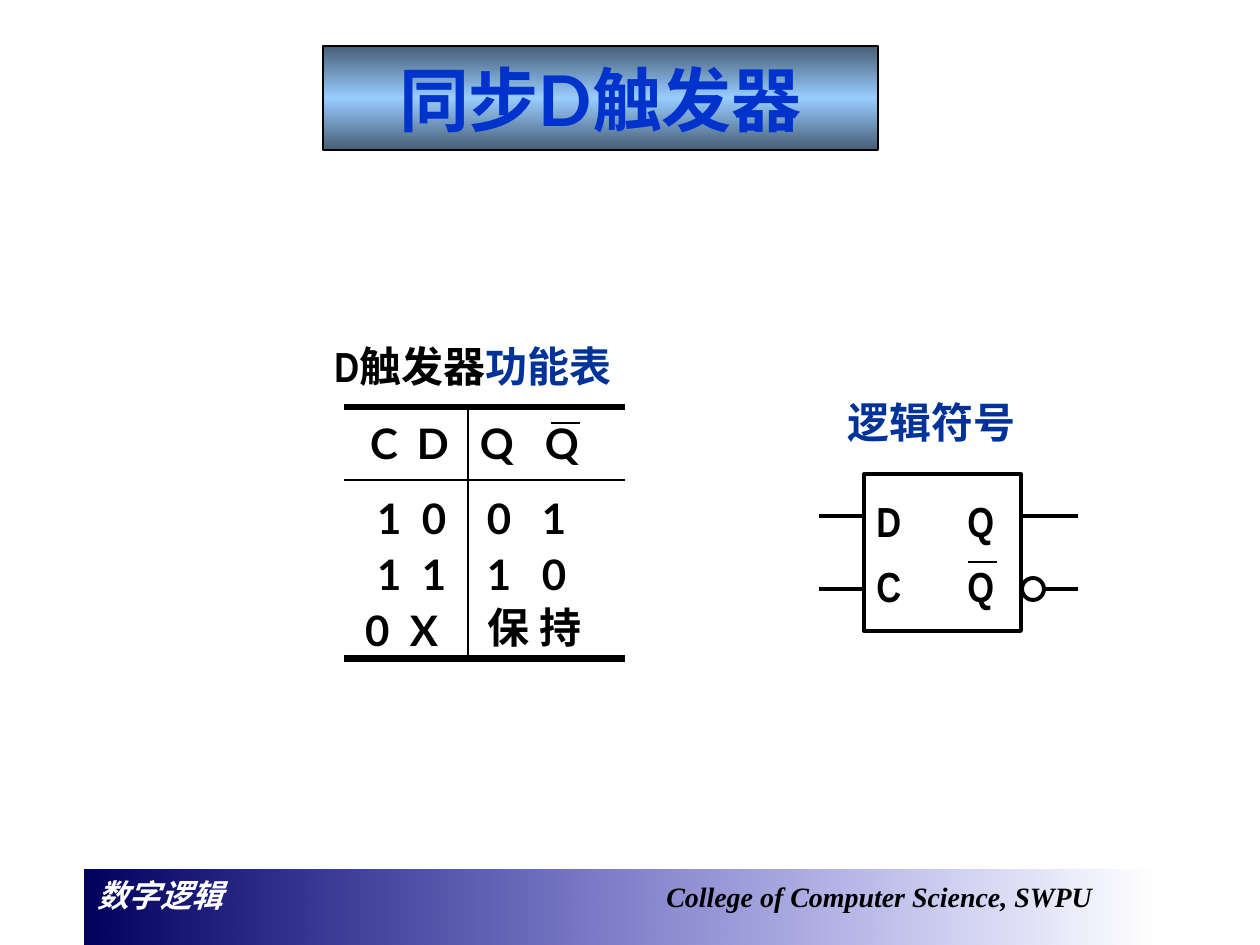
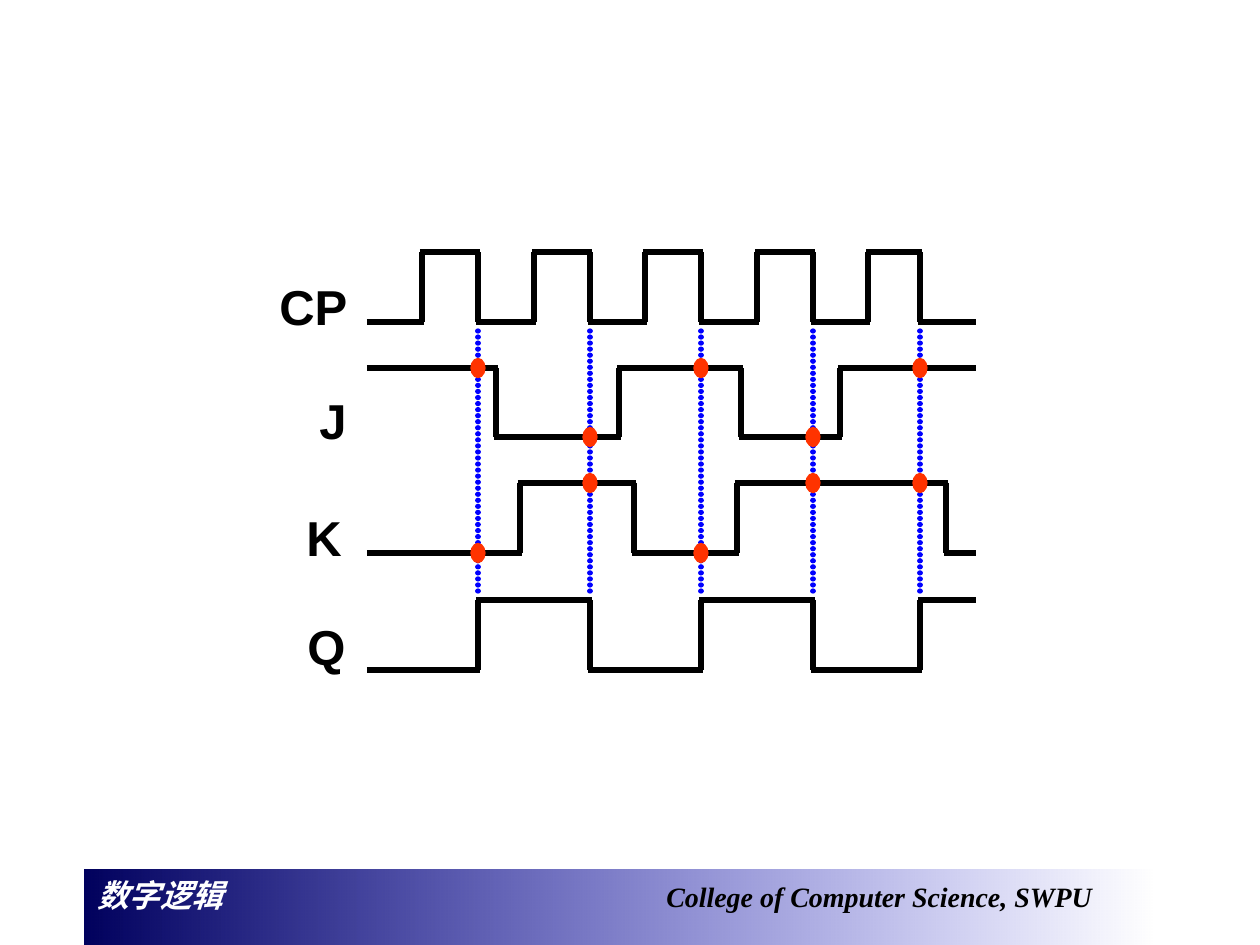
"""Builds two slides on the synchronous D flip-flop and a JK timing diagram."""
from dataclasses import dataclass
from itertools import pairwise

from lxml.etree import SubElement
from pptx import Presentation
from pptx.dml.color import RGBColor
from pptx.enum.shapes import MSO_CONNECTOR, MSO_SHAPE as SHAPE
from pptx.enum.text import MSO_ANCHOR as ANCHOR, PP_ALIGN as ALIGN
from pptx.oxml import parse_xml
from pptx.oxml.ns import nsdecls, qn
from pptx.util import Pt


@dataclass(frozen=True)
class Theme:
    black: str = "000000"
    white: str = "FFFFFF"
    title: str = "0033CC"
    label: str = "003399"
    sample: str = "0000FF"
    dot: str = "FF3300"
    serif: str = "Times New Roman"
    sans: str = "Arial"
    narrow: str = "Arial Narrow"
    table: str = "Lato"
    title_size: int = 40
    signal_size: int = 28
    body_size: int = 24
    course_size: int = 18
    college_size: int = 16
    thin: float = 1.5
    medium: float = 2.25
    wave: float = 3
    thick: float = 4.5


T = Theme()
TITLE_STOPS = [(0, "475E76", 100), (50, "99CCFF", 100), (100, "475E76", 100)]
BAND_STOPS = [(0, "00005E", 100), (100, "0000CC", 0)]

TITLE = "同步D触发器"
COURSE, COLLEGE = "数字逻辑", "College of Computer Science, SWPU"
CAPTION = [("D触发器", T.black), ("功能表", T.label)]
SYMBOL_CAPTION = [("逻辑符号", T.label)]
SYMBOL_PINS = ["D\tQ", "C\tQ"]

TABLE_LEFT, TABLE_TOP = 344, 407
COL_WIDTHS = [60, 64, 64, 93]
ROW_HEIGHTS = [73, 67, 56, 56]
FUNCTION_ROWS = [
    [("C", 370), ("D", 417), ("Q", 480), ("Q", 545)],
    [("1", 377), ("0", 422), ("0", 487), ("1", 542)],
    [("1", 377), ("1", 422), ("1", 487), ("0", 542)],
    [("0", 365), ("X", 410), ("保 持", 488)],
]
OVERBARS = [(551, 423, 580, 423), (968, 562, 997, 562)]
PIN_LEADS = [(819, 516, 863, 516), (819, 589, 863, 589),
             (1022, 516, 1078, 516), (1045, 589, 1078, 589)]

START, END, CORNER = 367, 976, 2
RISES = [422, 534, 645, 757, 868]
FALLS = [478, 590, 701, 813, 920]
SIGNALS = {
    "CP": dict(label=(267, 270), high=252, low=322, first=0, edges=sorted(RISES + FALLS)),
    "J": dict(label=(307, 384), high=368, low=437, first=1, edges=[496, 619, 741, 840]),
    "K": dict(label=(294, 501), high=483, low=553, first=0, edges=[520, 634, 737, 946]),
    "Q": dict(label=(295, 610), high=600, low=670, first=0, edges=FALLS),
}
SAMPLED = ["J", "K"]
SAMPLE_TOP, SAMPLE_BOTTOM = 331, 592
DOT_W, DOT_H = 14, 19


def px(v):
    """Turn px into EMU."""
    return round(v * 914400 / 126)


def rgb(color):
    """Turn a hex string into a colour."""
    return RGBColor.from_string(color)


def set_font(font, name, size, color, italic=None):
    """Apply a bold theme font."""
    font.name, font.size, font.bold, font.italic = name, Pt(size), True, italic
    font.color.rgb = rgb(color)


def set_line(line, width, color=T.black):
    """Apply a solid line."""
    line.width = Pt(width)
    line.color.rgb = rgb(color)


def set_gradient(sp, stops, angle):
    """Replace the empty fill of a shape with a linear gradient."""
    gs = "".join(f'<a:gs pos="{pos * 1000}"><a:srgbClr val="{color}">'
                 f'<a:alpha val="{alpha * 1000}"/></a:srgbClr></a:gs>'
                 for pos, color, alpha in stops)
    grad = parse_xml(f'<a:gradFill {nsdecls("a")} rotWithShape="1"><a:gsLst>{gs}</a:gsLst>'
                     f'<a:lin ang="{angle * 60000}" scaled="0"/></a:gradFill>')
    spPr = sp.element.spPr
    spPr.replace(spPr.find(qn("a:noFill")), grad)


def add_tab(p, pos):
    """Add a left tab stop to a paragraph."""
    tabs = SubElement(p._p.get_or_add_pPr(), qn("a:tabLst"))
    SubElement(tabs, qn("a:tab"), pos=str(px(pos)), algn="l")


def add_shape(s, kind, x, y, w, h, fill=None, line=None, width=0.75):
    """Add a preset shape with an optional fill and line."""
    sp = s.shapes.add_shape(kind, *map(px, (x, y, w, h)))
    sp.shadow.inherit = False
    if fill:
        sp.fill.solid()
        sp.fill.fore_color.rgb = rgb(fill)
    else:
        sp.fill.background()
    if line:
        set_line(sp.line, width, line)
    else:
        sp.line.fill.background()
    sp.text_frame.word_wrap = True
    sp.text_frame.vertical_anchor = ANCHOR.TOP
    sp.text_frame.paragraphs[0].alignment = ALIGN.LEFT
    return sp


def add_line(s, ends, width, color=T.black):
    """Add a straight line without shadow."""
    c = s.shapes.add_connector(MSO_CONNECTOR.STRAIGHT, *map(px, ends))
    set_line(c.line, width, color)
    SubElement(c.element.spPr, qn("a:effectLst"))
    return c


def add_label(s, box, runs, name, size, anchor=ANCHOR.TOP):
    """Add a one-line text box of coloured runs."""
    tf = s.shapes.add_textbox(*map(px, box)).text_frame
    tf.word_wrap, tf.vertical_anchor = True, anchor
    for text, color in runs:
        r = tf.paragraphs[0].add_run()
        r.text = text
        set_font(r.font, name, size, color)


def add_band(s):
    """Place the footer band on the shared layout."""
    sp = add_shape(s, SHAPE.RECTANGLE, 85, 870, 1071, 75)
    set_gradient(sp, BAND_STOPS, 0)
    p = sp.text_frame.paragraphs[0]
    add_tab(p, 569)
    for text, size, color in ((COURSE + "\t", T.course_size, T.white),
                              (COLLEGE, T.college_size, T.black)):
        r = p.add_run()
        r.text = text
        set_font(r.font, T.serif, size, color, True)
    s.slide_layout.shapes.element.append(sp.element)


def add_title(s):
    """Add the framed slide title."""
    sp = add_shape(s, SHAPE.RECTANGLE, 323, 46, 555, 104, line=T.black)
    set_gradient(sp, TITLE_STOPS, 90)
    sp.text_frame.vertical_anchor = ANCHOR.MIDDLE
    p = sp.text_frame.paragraphs[0]
    p.text, p.alignment = TITLE, ALIGN.CENTER
    set_font(p.font, T.table, T.title_size, T.title)


def set_borders(cell, borders):
    """Draw all four cell borders, leaving those of zero width empty."""
    tcPr = cell._tc.get_or_add_tcPr()
    for i, (side, width) in enumerate(borders.items()):
        fill = (f'<a:solidFill><a:srgbClr val="{T.black}"/></a:solidFill>'
                if width else "<a:noFill/>")
        tcPr.insert(i, parse_xml(
            f'<a:{side} {nsdecls("a")} w="{Pt(width)}">{fill}</a:{side}>'))


def add_function_table(s):
    """Add the function table with its rules."""
    n_rows, n_cols = len(ROW_HEIGHTS), len(COL_WIDTHS)
    gf = s.shapes.add_table(n_rows, n_cols, *map(px, (
        TABLE_LEFT, TABLE_TOP, sum(COL_WIDTHS), sum(ROW_HEIGHTS))))
    for style in gf.element.iter(qn("a:tableStyleId")):
        style.text = "{2D5ABB26-0587-4C30-8999-92F81FD0307C}"
    table = gf.table
    table.first_row = table.horz_banding = False
    for col, w in zip(table.columns, COL_WIDTHS):
        col.width = px(w)
    for row, h in zip(table.rows, ROW_HEIGHTS):
        row.height = px(h)
    table.cell(n_rows - 1, 2).merge(table.cell(n_rows - 1, 3))
    h_rules = [T.thick, T.thin, 0, 0, T.thick]
    v_rules = [0, 0, T.thin, 0, 0]
    for i in range(n_rows):
        for j in range(n_cols):
            cell = table.cell(i, j)
            cell.fill.background()
            set_borders(cell, dict(lnL=v_rules[j], lnR=v_rules[j + 1],
                                   lnT=h_rules[i], lnB=h_rules[i + 1]))
        for j, (text, x) in enumerate(FUNCTION_ROWS[i]):
            cell = table.cell(i, j)
            cell.margin_left = px(x - TABLE_LEFT - sum(COL_WIDTHS[:j]))
            cell.margin_right = cell.margin_bottom = 0
            cell.margin_top = px((2, 11, 0, 0)[i])
            cell.vertical_anchor = ANCHOR.MIDDLE
            p = cell.text_frame.paragraphs[0]
            p.text, p.line_spacing = text, Pt(28)
            set_font(p.font, T.table, T.body_size, T.black)


def add_symbol(s):
    """Add the logic symbol with pins and inverting bubble."""
    box = add_shape(s, SHAPE.RECTANGLE, 864, 474, 157, 157, line=T.black, width=T.medium)
    tf = box.text_frame
    for i, text in enumerate(SYMBOL_PINS):
        p = tf.add_paragraph() if i else tf.paragraphs[0]
        p.text, p.alignment, p.line_spacing = text, ALIGN.LEFT, 1.3
        add_tab(p, 91)
        set_font(p.font, T.narrow, T.body_size, T.black)
    for ends in PIN_LEADS:
        add_line(s, ends, T.medium)
    add_shape(s, SHAPE.OVAL, 1022, 578, 22, 22, line=T.black, width=T.medium)


def level_y(sig, x):
    """Return the height of a signal just before x."""
    level = (sig["first"] + sum(e < x for e in sig["edges"])) % 2
    return sig["high"] if level else sig["low"]


def add_wave(s, sig):
    """Draw a signal as level lines that overlap its edges at the corners."""
    for x0, x1 in pairwise([START, *sig["edges"], END]):
        y = level_y(sig, x1)
        add_line(s, (max(START, x0 - CORNER), y, min(END, x1 + CORNER), y), T.wave)
    for x in sig["edges"]:
        add_line(s, (x, sig["high"], x, sig["low"]), T.wave)


def add_sample_line(s, x):
    """Draw a dotted line at a clock edge."""
    c = add_line(s, (x, SAMPLE_TOP, x, SAMPLE_BOTTOM), T.wave, T.sample)
    ln = c.element.spPr.find(qn("a:ln"))
    ln.set("cap", "rnd")
    SubElement(SubElement(ln, qn("a:custDash")), qn("a:ds"), d="100000", sp="15000")


def build_flip_flop(s):
    """Fill the D flip-flop slide."""
    add_title(s)
    add_symbol(s)
    add_label(s, (835, 390, 209, 63), SYMBOL_CAPTION, T.narrow, T.body_size)
    add_function_table(s)
    add_label(s, (322, 334, 325, 63), CAPTION, T.narrow, T.body_size)
    for ends in OVERBARS:
        add_line(s, ends, T.thin)


def build_timing(s):
    """Fill the timing diagram slide."""
    for name, sig in SIGNALS.items():
        add_label(s, (*sig["label"], 103, 72), [(name, T.black)], T.sans, T.signal_size,
                  ANCHOR.MIDDLE)
        add_wave(s, sig)
    for x in FALLS:
        add_sample_line(s, x)
    for x in FALLS:
        for name in SAMPLED:
            y = level_y(SIGNALS[name], x)
            add_shape(s, SHAPE.OVAL, x - DOT_W / 2, y - DOT_H / 2, DOT_W, DOT_H, T.dot, T.dot)


def main():
    """Build and save the deck."""
    prs = Presentation()
    prs.slide_width, prs.slide_height = px(1260), px(945)
    slides = [prs.slides.add_slide(prs.slide_layouts[6]) for _ in range(2)]
    add_band(slides[0])
    build_flip_flop(slides[0])
    build_timing(slides[1])
    prs.save("out.pptx")


if __name__ == "__main__":
    main()
